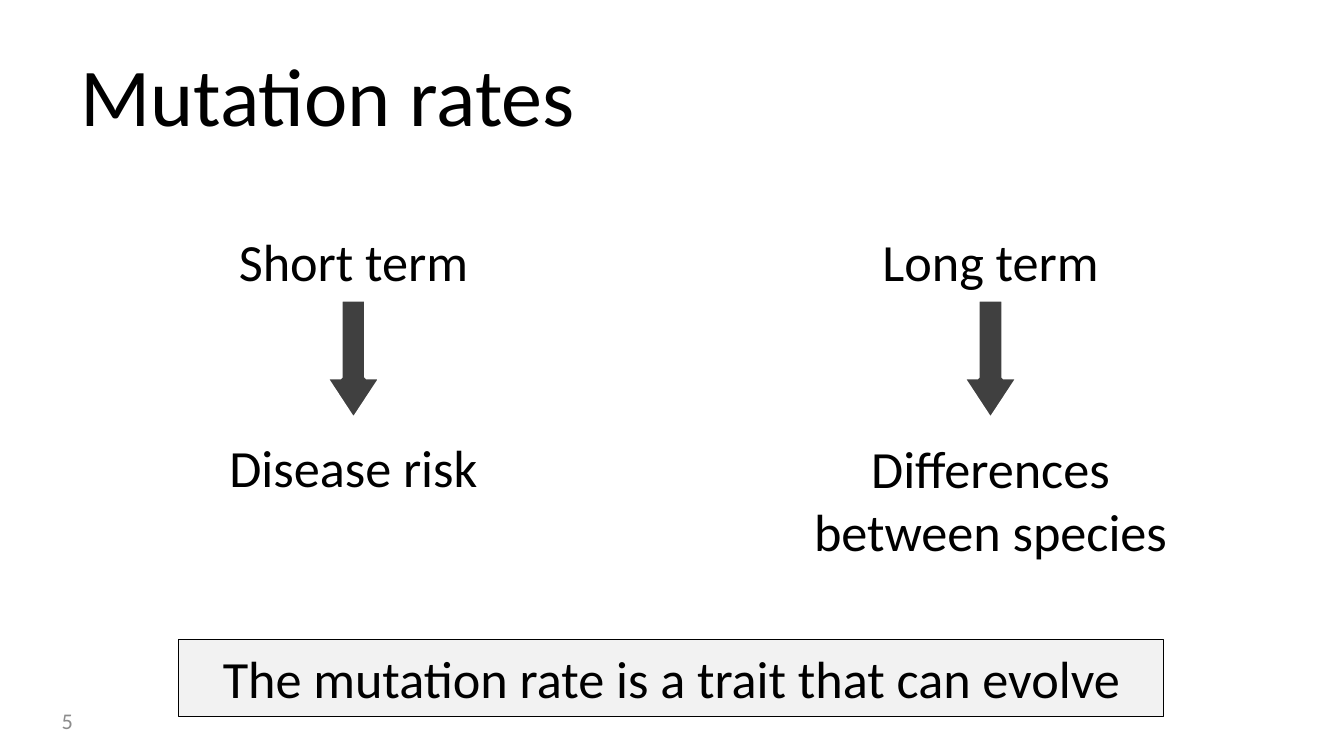
from pptx import Presentation
from pptx.dml.color import RGBColor
from pptx.enum import shapes, text
from pptx.util import Inches, Pt

TITLE = "Mutation rates"
TERMS = [
    # left, cause, effect, effect top, effect height
    (1.15, "Short term", "Disease risk", 3.19, 0.57),
    (5.89, "Long term", "Differences between species", 3.2, 1.04),
]
CONCLUSION = "The mutation rate is a trait that can evolve"
PAGE = "5"

TERM_WIDTH, TERM_HEIGHT = 2.96, 0.57
CAUSE_TOP = 1.66
ARROW_WIDTH, ARROW_HEIGHT = 0.41, 0.89
ARROW_ADJUSTMENTS = (0.46, 0.76)
CENTER, LEFT = text.PP_ALIGN.CENTER, text.PP_ALIGN.LEFT
TOP, MIDDLE = text.MSO_ANCHOR.TOP, text.MSO_ANCHOR.MIDDLE


def rgb(value):
    """Turn a hex string into a colour."""
    return RGBColor.from_string(value)


def write(shape, words, size=28, color="000000", align=CENTER, anchor=TOP):
    """Set the text of a shape and its format."""
    frame = shape.text_frame
    frame.word_wrap = True
    frame.vertical_anchor = anchor
    paragraph = frame.paragraphs[0]
    paragraph.alignment = align
    run = paragraph.add_run()
    run.text = words
    for name, value in {"name": "Calibri", "size": Pt(size)}.items():
        setattr(run.font, name, value)
    run.font.color.rgb = rgb(color)


def add_text(slide, box, words, **style):
    """Add a text box at left, top, width, height."""
    write(slide.shapes.add_textbox(*map(Inches, box)), words, **style)


def add_block(slide, kind, box, fill, line, width):
    """Add a filled and outlined shape without a shadow."""
    block = slide.shapes.add_shape(kind, *map(Inches, box))
    block.shadow.inherit = False
    block.fill.solid()
    block.fill.fore_color.rgb = rgb(fill)
    block.line.color.rgb = rgb(line)
    block.line.width = Pt(width)
    return block


def add_term(slide, left, cause, effect, effect_top, effect_height):
    """Add a cause, an arrow centred below it, and its effect."""
    add_text(slide, (left, CAUSE_TOP, TERM_WIDTH, TERM_HEIGHT), cause)
    arrow_left = left + (TERM_WIDTH - ARROW_WIDTH) / 2
    arrow_top = CAUSE_TOP + TERM_HEIGHT
    arrow = add_block(slide, shapes.MSO_SHAPE.DOWN_ARROW,
                      (arrow_left, arrow_top, ARROW_WIDTH, ARROW_HEIGHT),
                      "404040", "FFFFFF", 2)
    for index, value in enumerate(ARROW_ADJUSTMENTS):
        arrow.adjustments[index] = value
    add_text(slide, (left, effect_top, TERM_WIDTH, effect_height), effect)


deck = Presentation()
deck.slide_width = Inches(10)
deck.slide_height = deck.slide_width * 9 // 16
slide = deck.slides.add_slide(deck.slide_layouts[6])

add_text(slide, (0.5, 0.23, 9, 0.94), TITLE, size=44, align=LEFT, anchor=MIDDLE)
for term in TERMS:
    add_term(slide, *term)
conclusion = add_block(slide, shapes.MSO_SHAPE.RECTANGLE,
                       (1.33, 4.76, 7.33, 0.57), "F2F2F2", "000000", 0.75)
write(conclusion, CONCLUSION)
add_text(slide, (0.36, 5.21, 2.33, 0.3), PAGE, size=12, color="8C8C8C",
         align=LEFT, anchor=MIDDLE)

deck.save("out.pptx")
